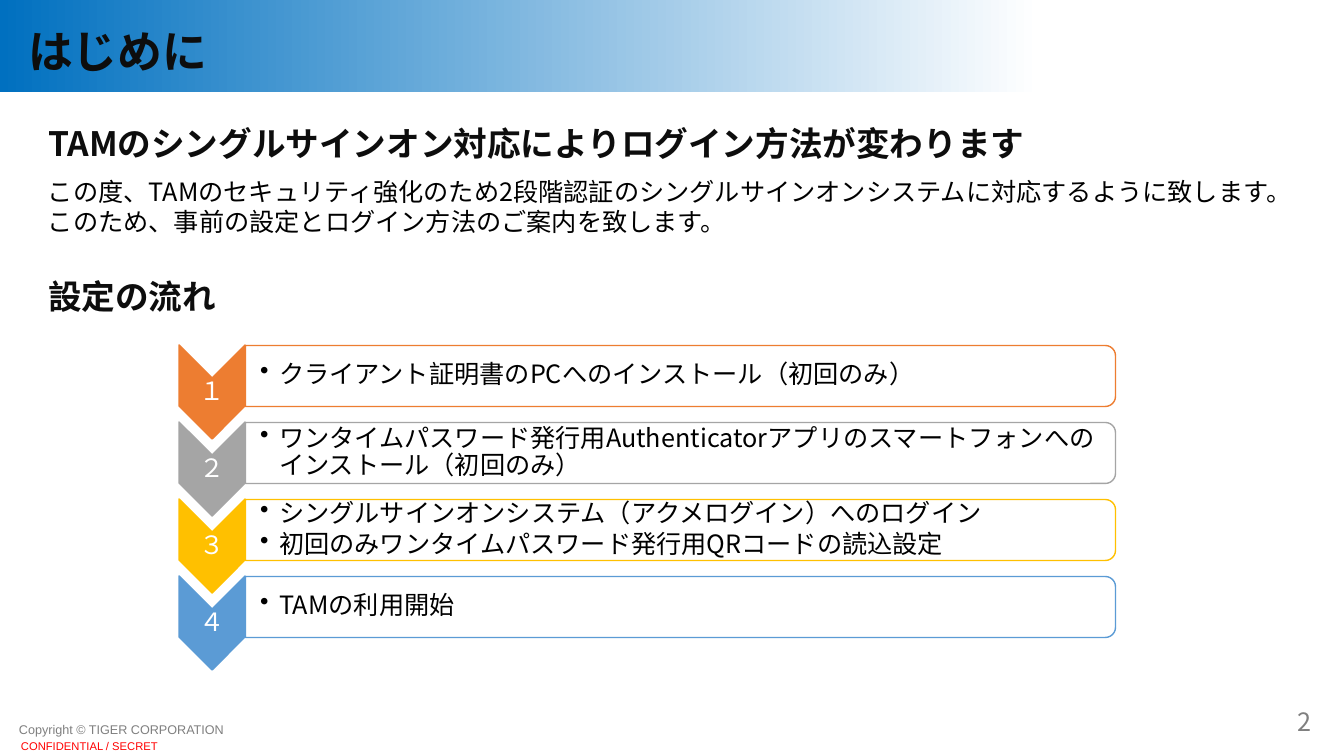
"""Builds the opening slide on the new login method and its setup flow."""
from lxml.etree import SubElement
from pptx import Presentation
from pptx.dml.color import RGBColor
from pptx.enum.shapes import MSO_SHAPE
from pptx.enum.text import MSO_ANCHOR, PP_ALIGN
from pptx.oxml.ns import qn
from pptx.util import Pt

SCALE = 914400 / 100.8
GOTHIC = "Noto Sans CJK JP"
WHITE = RGBColor(0xFF, 0xFF, 0xFF)
BLACK = RGBColor(0x00, 0x00, 0x00)
INK = RGBColor(0x0D, 0x0D, 0x0D)
GRAY = RGBColor(0x80, 0x80, 0x80)
COPYRIGHT_GRAY = RGBColor(0x7F, 0x7F, 0x7F)
RED = RGBColor(0xFF, 0x00, 0x00)
BLUE = RGBColor(0x00, 0x70, 0xC0)

STEP_PITCH = 77
STEPS = [
    ("１", RGBColor(0xED, 0x7D, 0x31), ["クライアント証明書のPCへのインストール（初回のみ）"]),
    ("２", RGBColor(0xA5, 0xA5, 0xA5),
     ["ワンタイムパスワード発行用Authenticatorアプリのスマートフォンへのインストール（初回のみ）"]),
    ("３", RGBColor(0xFF, 0xC0, 0x00),
     ["シングルサインオンシステム（アクメログイン）へのログイン",
      "初回のみワンタイムパスワード発行用QRコードの読込設定"]),
    ("４", RGBColor(0x5B, 0x9B, 0xD5), ["TAMの利用開始"]),
]


def px(length):
    """Turn a length in px into EMU."""
    return round(length * SCALE)


def style_font(para, size, color, name, bold):
    """Set the Latin and East Asian font of a paragraph."""
    font = para.font
    font.size, font.bold, font.name = Pt(size), bold, name
    font.color.rgb = color
    properties = para._p.pPr.find(qn("a:defRPr"))
    SubElement(properties, qn("a:ea")).set("typeface", name)


def add_bullet(para):
    """Give a paragraph a hanging round bullet."""
    properties = para._p.get_or_add_pPr()
    properties.set("marL", str(px(19)))
    properties.set("indent", str(px(-19)))
    SubElement(properties, qn("a:buChar")).set("char", "•")


def add_text(page, area, lines, size, color, name=GOTHIC, bold=False, insets=(10, 5, 10, 5),
             anchor=MSO_ANCHOR.TOP, align=PP_ALIGN.LEFT, spacing=None, after=None, bullets=False):
    """Add a wrapping text box with one paragraph per line."""
    frame = page.shapes.add_textbox(*map(px, area)).text_frame
    frame.word_wrap = True
    frame.vertical_anchor = anchor
    (frame.margin_left, frame.margin_top,
     frame.margin_right, frame.margin_bottom) = map(px, insets)
    for index, line in enumerate(lines):
        para = frame.add_paragraph() if index else frame.paragraphs[0]
        para.text = line
        if bullets:
            add_bullet(para)
        para.alignment = align
        if spacing:
            para.line_spacing = spacing
        if after:
            para.space_after = Pt(after)
        style_font(para, size, color, name, bold)


def add_turned_shape(page, kind, area, fill, line):
    """Add an outlined shape turned a quarter clockwise."""
    shape = page.shapes.add_shape(kind, *map(px, area))
    shape.rotation = 90
    shape.shadow.inherit = False
    shape.fill.solid()
    shape.fill.fore_color.rgb = fill
    shape.line.color.rgb = line
    shape.line.width = Pt(1)
    return shape


def add_banner(page):
    """Add the title band that fades from blue to white."""
    banner = page.shapes.add_shape(MSO_SHAPE.RECTANGLE, 0, 0, px(1040), px(92))
    banner.shadow.inherit = False
    banner.line.fill.background()
    banner.fill.gradient()
    banner.fill.gradient_angle = 0
    for stop, color in zip(banner.fill.gradient_stops, (BLUE, WHITE)):
        stop.color.rgb = color


def add_step(page, index, number, color, lines):
    """Add one numbered chevron with its rounded panel."""
    drop = index * STEP_PITCH
    add_turned_shape(page, MSO_SHAPE.CHEVRON, (165, 359 + drop, 94, 66), color, color)
    add_text(page, (179, 378 + drop, 66, 28), [number], 18, WHITE, insets=(1, 1, 1, 1),
             anchor=MSO_ANCHOR.MIDDLE, align=PP_ALIGN.CENTER, spacing=0.9, after=6.3)
    panel = add_turned_shape(page, MSO_SHAPE.ROUND_2_SAME_RECTANGLE,
                             (650, -59 + drop, 61, 870), WHITE, color)
    tint = panel.fill._xPr.find(qn("a:solidFill"))[0]
    SubElement(tint, qn("a:alpha")).set("val", "90000")
    add_text(page, (246, 348 + drop, 867, 55), lines, 18, BLACK, insets=(14, 1, 1, 1),
             anchor=MSO_ANCHOR.MIDDLE, spacing=0.9, after=2.7, bullets=True)


def add_footer(page):
    """Add the page number, copyright and confidentiality lines."""
    tight = (7, 4, 7, 4)
    add_text(page, (1019, 701, 302, 40), ["2"], 18, GRAY,
             anchor=MSO_ANCHOR.MIDDLE, align=PP_ALIGN.RIGHT)
    add_text(page, (12, 723, 240, 13), ["Copyright © TIGER CORPORATION"], 9, COPYRIGHT_GRAY,
             name="Arial", insets=tight, anchor=MSO_ANCHOR.MIDDLE)
    add_text(page, (14, 735, 504, 21), ["CONFIDENTIAL / SECRET"], 8, RED,
             name="Arial", insets=tight)


def main():
    """Build the slide and save it."""
    deck = Presentation()
    deck.slide_width, deck.slide_height = px(1344), px(756)
    page = deck.slides.add_slide(deck.slide_layouts[6])
    add_banner(page)
    add_footer(page)
    add_text(page, (18, 13, 992, 75), ["はじめに"], 32, INK, bold=True, anchor=MSO_ANCHOR.MIDDLE)
    add_text(page, (38, 118, 1149, 50),
             ["TAMのシングルサインオン対応によりログイン方法が変わります"], 24, INK, bold=True)
    add_text(page, (38, 171, 1253, 72),
             ["この度、TAMのセキュリティ強化のため2段階認証のシングルサインオンシステムに対応するように致します。",
              "このため、事前の設定とログイン方法のご案内を致します。"], 18, BLACK)
    add_text(page, (38, 271, 1149, 50), ["設定の流れ"], 24, INK, bold=True)
    for index, (number, color, lines) in enumerate(STEPS):
        add_step(page, index, number, color, lines)
    deck.save("out.pptx")


if __name__ == "__main__":
    main()
